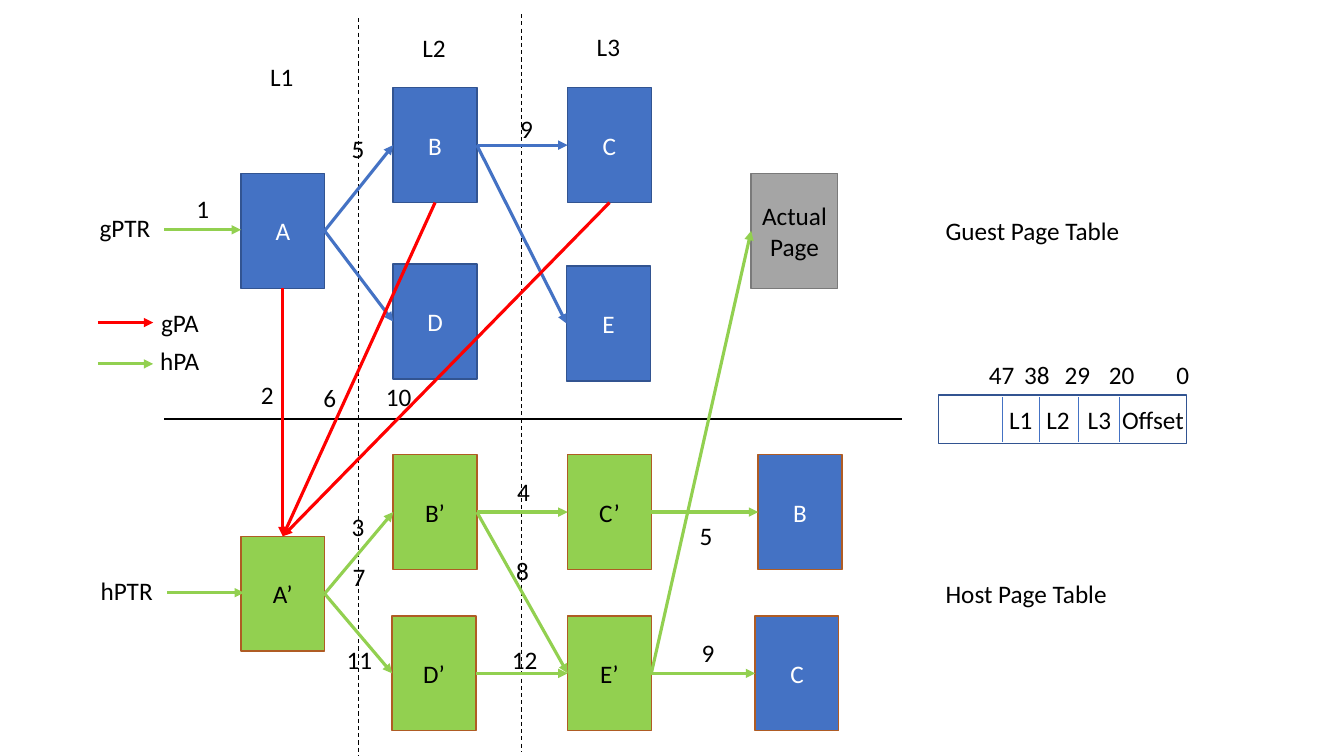
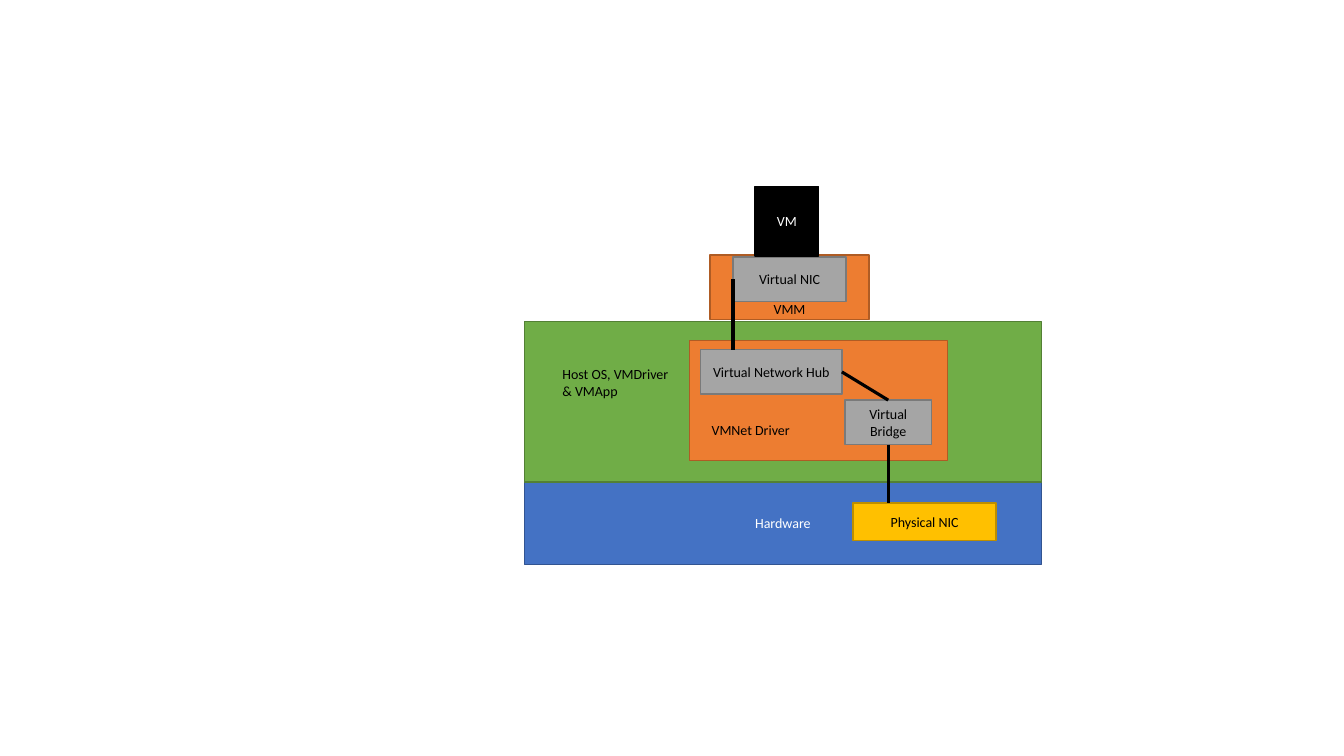
from pptx import Presentation
from pptx.dml.color import RGBColor
from pptx.enum.dml import MSO_LINE_DASH_STYLE as Dash
from pptx.enum.shapes import MSO_CONNECTOR as Connector, MSO_SHAPE as Shape
from pptx.enum.text import MSO_ANCHOR as Anchor, PP_ALIGN as Align
from pptx.oxml.ns import qn
from pptx.util import Inches, Pt
from lxml.etree import SubElement

# Colours
BLACK = RGBColor(0x00, 0x00, 0x00)
WHITE = RGBColor(0xFF, 0xFF, 0xFF)
BLUE = RGBColor(0x44, 0x72, 0xC4)
NAVY = RGBColor(0x32, 0x54, 0x91)
LIME = RGBColor(0x92, 0xD0, 0x50)
GREEN = RGBColor(0x70, 0xAD, 0x47)
DARK_GREEN = RGBColor(0x53, 0x80, 0x35)
ORANGE = RGBColor(0xED, 0x7D, 0x31)
BROWN = RGBColor(0xAF, 0x5C, 0x24)
GREY = RGBColor(0xA5, 0xA5, 0xA5)
DARK_GREY = RGBColor(0x7A, 0x7A, 0x7A)
GOLD = RGBColor(0xFF, 0xC0, 0x00)
DARK_GOLD = RGBColor(0xBD, 0x8E, 0x00)
RED = RGBColor(0xFF, 0x00, 0x00)

# Box looks: fill, outline, text
GUEST = (BLUE, NAVY, WHITE)
HOST = (LIME, BROWN, BLACK)
MAPPED = (BLUE, BROWN, WHITE)
NETWORK = (GREY, DARK_GREY, BLACK)
DRIVER = (ORANGE, BROWN, BLACK)
SYSTEM = (GREEN, DARK_GREEN, BLACK)
ADAPTER = (GOLD, DARK_GOLD, BLACK)
MACHINE = (BLACK, BLACK, WHITE)
FIELD = (None, NAVY, BLACK)

# Connection sites of a rectangle
TOP, LEFT, BOTTOM, RIGHT = range(4)


def apply(target, **formats):
    for name, value in formats.items():
        setattr(target, name, value)


class Diagram:
    """Style and current page, on a grid of 133.3 columns and 75 rows."""

    CELL = Inches(0.1)
    FONT = "Calibri"

    def __init__(self, columns, rows):
        self.deck = Presentation()
        apply(self.deck, slide_width=self.cells(columns), slide_height=self.cells(rows))

    def cells(self, count):
        return round(count * self.CELL)

    def new_page(self, text_size):
        self.page = self.deck.slides.add_slide(self.deck.slide_layouts[6])
        self.text_size = Pt(text_size)

    def add_text(self, box, text, color, align, **frame_formats):
        apply(box.text_frame, **frame_formats)
        para = box.text_frame.paragraphs[0]
        para.alignment = align
        span = para.add_run()
        span.text = text
        apply(span.font, name=self.FONT, size=self.text_size)
        span.font.color.rgb = color

    def box(self, look, column, row, width, height, text=""):
        fill, outline, ink = look
        box = self.page.shapes.add_shape(
            Shape.RECTANGLE, *map(self.cells, (column, row, width, height)))
        box.shadow.inherit = False
        if fill is None:
            box.fill.background()
        else:
            box.fill.solid()
            box.fill.fore_color.rgb = fill
        box.line.color.rgb = outline
        box.line.width = Pt(1)
        if text:
            self.add_text(box, text, ink, Align.CENTER, word_wrap=True,
                          vertical_anchor=Anchor.MIDDLE)
        return box

    def label(self, text, column, row, width, height=4, wrap=False, align=Align.LEFT):
        box = self.page.shapes.add_textbox(
            *map(self.cells, (column, row, width, height)))
        self.add_text(box, text, BLACK, align, word_wrap=wrap)

    def line(self, start, end, color=BLACK, width=2.25, dash=None, arrow=False):
        line = self.page.shapes.add_connector(
            Connector.STRAIGHT, *map(self.cells, (*start, *end)))
        line.line.color.rgb = color
        apply(line.line, width=Pt(width), dash_style=dash)
        properties = line.element.spPr
        if arrow:
            SubElement(properties.find(qn("a:ln")), qn("a:tailEnd"), type="triangle")
        SubElement(properties, qn("a:effectLst"))
        return line

    def join(self, first, first_side, second, second_side, color=BLACK, arrow=False):
        line = self.line((0, 0), (1, 1), color, arrow=arrow)
        line.begin_connect(first, first_side)
        line.end_connect(second, second_side)


diagram = Diagram(133.3, 75)

# Page 1: guest and host page tables
diagram.new_page(text_size=18)
LEVEL_1, LEVEL_2, LEVEL_3 = 23.9, 39, 56.3
PAGE_WIDTH, PAGE_HEIGHT = 8.3, 11.4
tables = {
    "A": (GUEST, LEVEL_1, 17.2), "B": (GUEST, LEVEL_2, 8.7),
    "C": (GUEST, LEVEL_3, 8.7), "D": (GUEST, LEVEL_2, 26.2),
    "E": (GUEST, LEVEL_3 - 0.1, 26.4),
    "A’": (HOST, LEVEL_1, 53.2), "B’": (HOST, LEVEL_2, 45.1),
    "C’": (HOST, LEVEL_3, 45.1), "D’": (HOST, LEVEL_2 - 0.1, 61.1),
    "E’": (HOST, LEVEL_3, 61.1),
}
node = {name: diagram.box(look, column, row, PAGE_WIDTH, PAGE_HEIGHT, name)
        for name, (look, column, row) in tables.items()}
node["Mapped B"] = diagram.box(MAPPED, 75.2, 45.1, PAGE_WIDTH, PAGE_HEIGHT, "B")
node["Mapped C"] = diagram.box(MAPPED, 74.9, 61.1, PAGE_WIDTH, PAGE_HEIGHT, "C")
node["Actual"] = diagram.box(NETWORK, 74.5, 17.2, 8.6, PAGE_HEIGHT, "Actual Page")

# Dividers between guest and host, and between levels
diagram.line((16.3, 41.6), (89.5, 41.6), width=1.5)
for column, row in ((35.6, 1.8), (51.7, 1.4)):
    diagram.line((column, row), (column, row + 73.2), width=0.75, dash=Dash.DASH)

# Arrows between tables
walks = {
    BLUE: (("A", "B"), ("A", "D"), ("B", "C"), ("B", "E")),
    LIME: (("A’", "B’"), ("A’", "D’"), ("B’", "C’"), ("B’", "E’"), ("D’", "E’"),
           ("C’", "Mapped B"), ("E’", "Mapped C"), ("E’", "Actual")),
}
for color, pairs in walks.items():
    for first, second in pairs:
        diagram.join(node[first], RIGHT, node[second], LEFT, color, arrow=True)
for guest in "ABC":
    diagram.join(node[guest], BOTTOM, node["A’"], TOP, RED, arrow=True)

# Pointers and legend
for color, column, row, length in (
        (LIME, 16.3, 22.8, 7.6), (LIME, 16.6, 58.8, 7.6),
        (RED, 9.7, 32, 5.5), (LIME, 9.7, 36.1, 5.5)):
    diagram.line((column, row), (column + length, row), color, arrow=True)
for text, column, row, width in (
        ("gPTR", 8.9, 20.6, 7.2), ("hPTR", 9, 56.6, 7.6),
        ("gPA", 15, 30, 7.6), ("hPA", 14.9, 33.8, 7.6),
        ("Guest Page Table", 92.8, 20.9, 24.6),
        ("Host Page Table", 92.8, 56.9, 24.6)):
    diagram.label(text, column, row, width, wrap=True)

# Level names and step numbers
for text, column, row in (("L1", 25.8, 5.6), ("L2", 40.9, 2.7), ("L3", 58.2, 2.6)):
    diagram.label(text, column, row, 4.4)
for step, column, row in (
        (1, 18.5, 18.7), (5, 33.9, 12.7), (9, 50.6, 10.8), (2, 24.9, 37.1),
        (3, 33.9, 50.2), (4, 50.3, 46.8), (5, 68.4, 51.1), (6, 31.1, 37.4),
        (7, 34, 55.2), (8, 50.2, 54.6), (9, 68.6, 62.7), (10, 37.3, 37.3),
        (11, 33.4, 63.4), (12, 49.8, 63.4)):
    diagram.label(str(step), column, row, 4.6 if step > 9 else 3.3)

# Address fields: edge, bit and its column, field and its column
diagram.box(FIELD, 93.1, 39.2, 24.6, 4.8)
for edge, bit, bit_column, field, field_column, width in (
        (99.4, "47", 97.1, "L1", 99.1, 4.4), (103.1, "38", 100.6, "L2", 102.8, 4.4),
        (107, "29", 104.6, "L3", 106.9, 4.4), (111, "20", 109, "Offset", 110.3, 8.2)):
    diagram.line((edge, 39.4), (edge, 43.9), BLUE, width=0.5)
    diagram.label(bit, bit_column, 35.2, 4.6)
    diagram.label(field, field_column, 39.6, width)
diagram.label("0", 115.7, 35.2, 3.3)

# Page 2: virtual network layers
diagram.new_page(text_size=10)
diagram.box(GUEST, 52, 47.7, 51.3, 8.3, "Hardware")
diagram.box(ADAPTER, 84.6, 49.9, 14.2, 3.7, "Physical NIC")
diagram.box(SYSTEM, 52, 31.9, 51.3, 15.9)
diagram.box(DRIVER, 68.4, 33.8, 25.6, 11.9)
bridge = diagram.box(NETWORK, 83.8, 39.7, 8.6, 4.4, "Virtual Bridge")
hub = diagram.box(NETWORK, 69.5, 34.7, 14, 4.4, "Virtual Network Hub")
diagram.box(DRIVER, 70.4, 25.3, 15.8, 6.4)
diagram.box(NETWORK, 72.7, 25.5, 11.2, 4.4, "Virtual NIC")
diagram.box(MACHINE, 74.9, 18.5, 6.3, 6.9, "VM")

# Layer names
diagram.label("Host OS, VMDriver & VMApp", 54.8, 35.8, 13.4, 3.6, wrap=True)
diagram.label("VMNet Driver", 69.6, 41.3, 14.2, 2.2, wrap=True)
diagram.label("VMM", 71.2, 29.3, 14.2, 2.2, wrap=True, align=Align.CENTER)

# Network links
diagram.line((72.7, 27.7), (72.7, 34.7))
diagram.line((88.1, 44.1), (88.1, 49.9))
diagram.join(hub, RIGHT, bridge, TOP)

diagram.deck.save("out.pptx")
